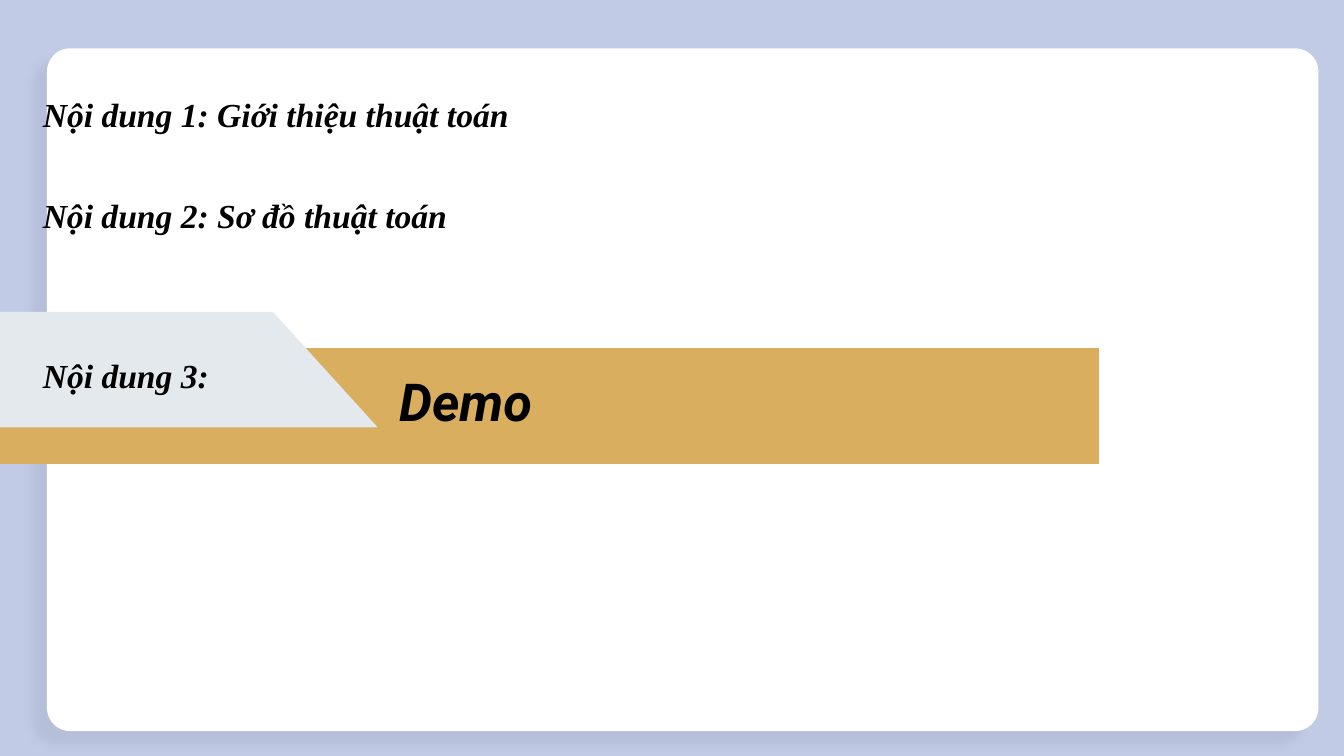
from lxml import etree
from pptx import Presentation
from pptx.dml.color import RGBColor
from pptx.enum.shapes import MSO_SHAPE
from pptx.enum.text import MSO_ANCHOR, MSO_AUTO_SIZE, PP_ALIGN
from pptx.oxml.ns import qn
from pptx.util import Inches, Pt

ROUNDED = MSO_SHAPE.ROUNDED_RECTANGLE
LEFT = PP_ALIGN.LEFT
TOP = MSO_ANCHOR.TOP
FIT_SHAPE = MSO_AUTO_SIZE.SHAPE_TO_FIT_TEXT

COLORS = {
    "background": "C2CBE6",
    "card": "FFFFFF",
    "shadow": "515B7A",
    "bar": "D9AE5F",
    "tab": "E3E9ED",
    "text": "000000",
}

# text, top, width
AGENDA = [
    ("Nội dung 1: Giới thiệu thuật toán", 0.65, 4.12),
    ("Nội dung 2: Sơ đồ thuật toán", 1.4, 3.93),
    ("Nội dung 3:", 2.59, 2.02),
]


def paint(shape, color):
    """Give the shape a solid fill, no outline and no inherited shadow."""
    shape.shadow.inherit = False
    shape.fill.solid()
    shape.fill.fore_color.rgb = RGBColor.from_string(COLORS[color])
    shape.line.fill.background()


def add_soft_shadow(shape, blur, distance, angle, opacity):
    """Blur and distance in points, angle in degrees, opacity in percent."""
    effects = shape.element.spPr.find(qn("a:effectLst"))
    shadow = etree.SubElement(
        effects, qn("a:outerShdw"), blurRad=str(Pt(blur)), dist=str(Pt(distance)),
        dir=str(angle * 60000), algn="bl", rotWithShape="0")
    color = etree.SubElement(shadow, qn("a:srgbClr"), val=COLORS["shadow"])
    etree.SubElement(color, qn("a:alpha"), val=str(opacity * 1000))


def add_card(s):
    card = s.shapes.add_shape(
        ROUNDED, Inches(0.35), Inches(0.36), Inches(9.46), Inches(5.08))
    card.adjustments[0] = 0.034
    paint(card, "card")
    add_soft_shadow(card, blur=4.5, distance=10.5, angle=137, opacity=10)


def add_band(s, top, top_width, bottom_width, color, height=0.86):
    """Draw a band from the left slide edge whose right side may slant."""
    bottom = top + height
    points = [(0, bottom), (bottom_width, bottom), (top_width, top)]
    builder = s.shapes.build_freeform(0, Inches(top))
    builder.add_line_segments([(Inches(x), Inches(y)) for x, y in points])
    paint(builder.convert_to_shape(), color)


def write_text(shape, text, size=18, font="Times New Roman", color="text"):
    tf = shape.text_frame
    tf.word_wrap = True
    tf.auto_size = FIT_SHAPE
    tf.vertical_anchor = TOP
    p = tf.paragraphs[0]
    p.alignment = LEFT
    r = p.add_run()
    r.text = text
    r.font.name = font
    r.font.size = Pt(size)
    r.font.bold = r.font.italic = True
    r.font.color.rgb = RGBColor.from_string(COLORS[color])


def add_agenda_line(s, text, top, width):
    box = s.shapes.add_textbox(
        Inches(0.22), Inches(top), Inches(width), Inches(0.4))
    write_text(box, text)


def place_title(s, text):
    title = s.shapes.title
    title.left, title.top = Inches(2.87), Inches(2.7)
    title.width, title.height = Inches(5.88), Inches(0.57)
    write_text(title, text, size=28, font="Roboto")
    # The title lies on the bar, so it moves to the front.
    title.element.getparent().append(title.element)


def main():
    prs = Presentation()
    prs.slide_width = Inches(10)
    prs.slide_height = prs.slide_width * 9 // 16
    s = prs.slides.add_slide(prs.slide_layouts.get_by_name("Title Only"))
    s.background.fill.solid()
    s.background.fill.fore_color.rgb = RGBColor.from_string(COLORS["background"])

    add_card(s)
    add_band(s, 2.59, 8.18, 8.18, "bar")
    add_band(s, 2.32, 2.03, 2.81, "tab")
    for text, top, width in AGENDA:
        add_agenda_line(s, text, top, width)
    place_title(s, "Demo")
    prs.save("out.pptx")


if __name__ == "__main__":
    main()
